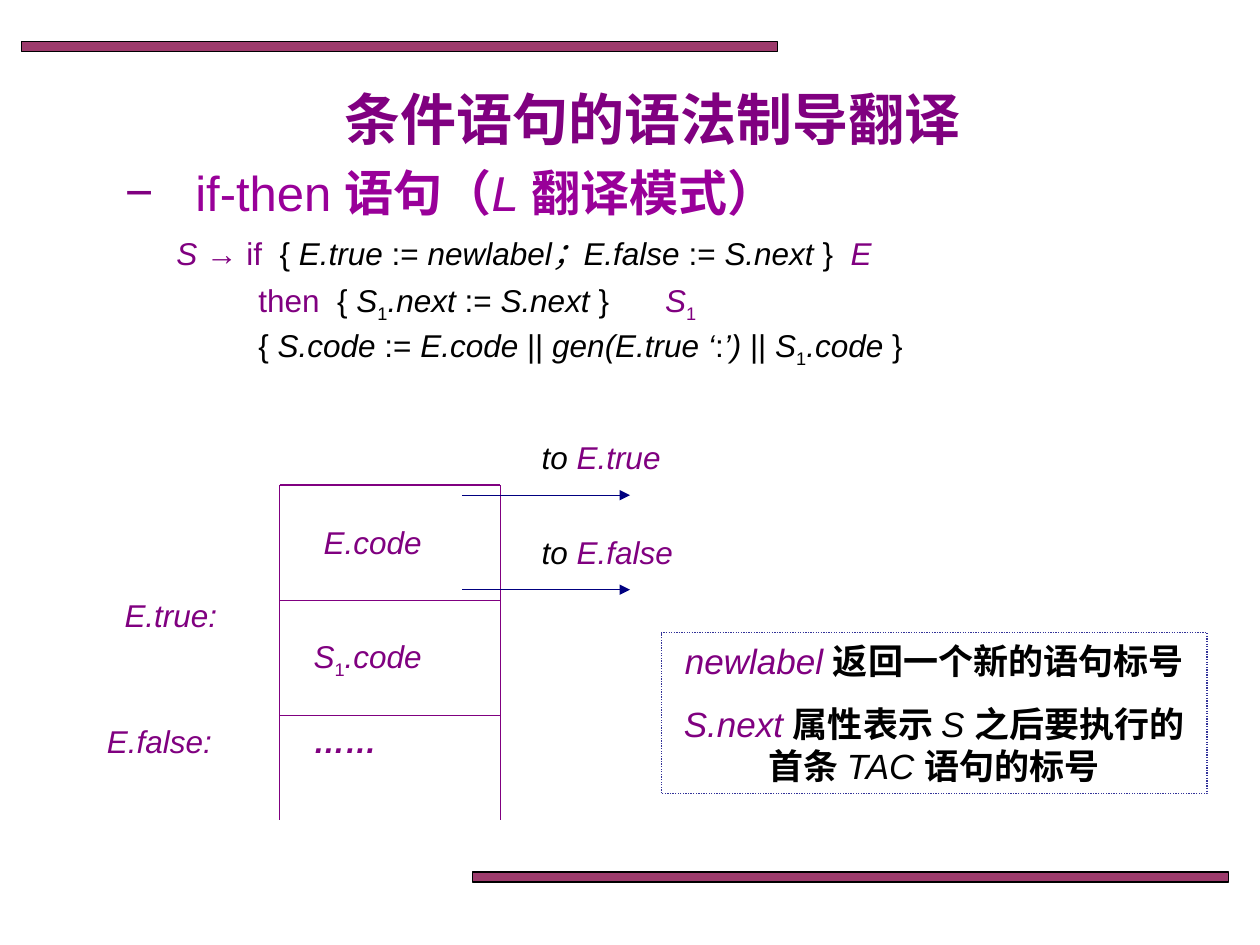
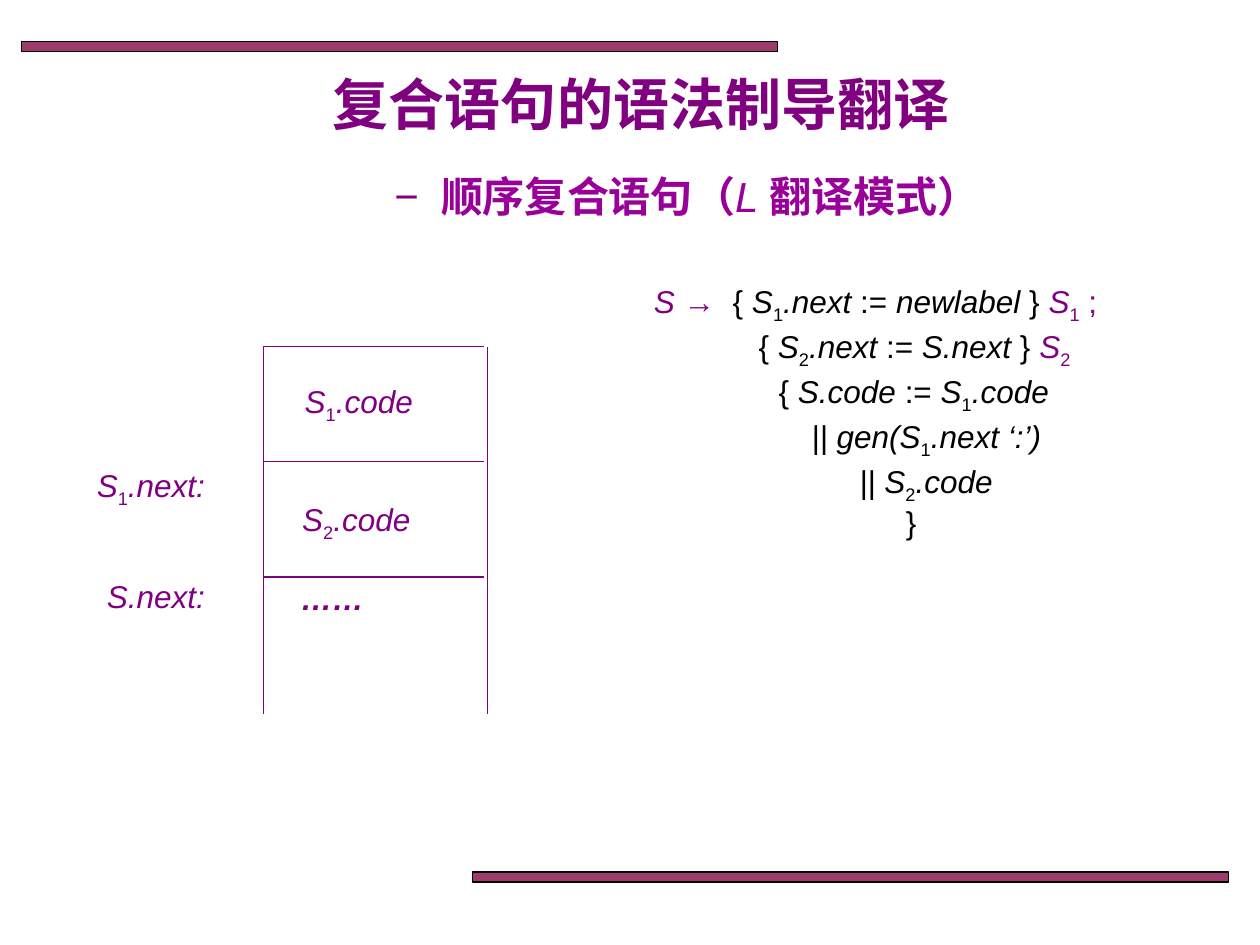
"""Two slides on syntax-directed translation of if-then and sequential statements."""
import pptx
import pptx.dml.color
import pptx.enum.dml
import pptx.enum.shapes
import pptx.enum.text
import pptx.oxml.ns
import pptx.util
from lxml import etree

Inches, Pt = pptx.util.Inches, pptx.util.Pt
qn = pptx.oxml.ns.qn
RECT = pptx.enum.shapes.MSO_SHAPE.RECTANGLE
ANCHOR = pptx.enum.text.MSO_ANCHOR
ALIGN = pptx.enum.text.PP_ALIGN

COLORS = {"p": "800080", "m": "990099", "k": "000000", "band": "993366",
          "arrow": "000080", "note": "333399"}
LATIN, CJK = "Arial", "Noto Sans CJK SC"
BANDS = [(0.17, 0.33, 6, 0.08), (3.75, 6.92, 6, 0.08)]
WIDE_SPACES = {"w": 500, "W": 2700}

# Styles: p/m/k colour, b bold, i italic, s subscript, w/W widened space.
SLIDES = [
    {
        "title": ("条件语句的语法制导翻译", (0.64, 0.56, 9.08, 0.75)),
        "body_at": (0.89, 1.29, 8.66, 1.65),
        "heading": (28, 0.56, 0.56, [
            ("if-then ", "m"), ("语句（", "mb"), ("L ", "mi"), ("翻译模式）", "mb")]),
        "code": [
            (0.41, 9.3, [
                ("S ", "pi"), ("→ if", "p"), (" ", "pw"), ("{ ", "k"), ("E.true ", "ki"),
                (":= ", "k"), ("newlabel；E.false ", "ki"), (":= ", "k"), ("S.next", "ki"),
                (" }", "k"), (" ", "kw"), ("E", "pi")]),
            (1.06, 5.4, [
                ("then", "p"), (" ", "kw"), ("{ ", "k"), ("S", "ki"), ("1", "ks"),
                (".next ", "ki"), (":= ", "k"), ("S.next", "ki"), (" }", "k"), (" ", "kW"),
                ("S", "pi"), ("1", "ps")]),
            (1.06, 3.6, [
                ("{ ", "k"), ("S.code ", "ki"), (":= ", "k"), ("E.code ", "ki"), ("||", "k"),
                (" gen(E.true ‘", "ki"), (":", "k"), ("’) ", "ki"), ("|| ", "k"), ("S", "ki"),
                ("1", "ks"), (".code", "ki"), (" }", "k")]),
        ],
        "stack": {"left": 2.22, "top": 3.85, "bottom": 6.51, "side": 3.97},
        "labels": [
            (2.47, 4.1, [("E.code", "pi")]),
            (2.39, 5.01, [("S", "pi"), ("1", "ps"), (".code", "pi")]),
            (0.89, 4.68, [("E.true:", "pi")]),
            (0.75, 5.68, [("E.false:", "pi")]),
            (2.39, 5.68, [("……", "pbi")]),
            (4.2, 3.43, [("to ", "ki"), ("E.true", "pi")]),
            (4.2, 4.18, [("to ", "ki"), ("E.false", "pi")]),
        ],
        "jumps": [3.93, 4.68],
        "note": [
            [("newlabel ", "pi"), ("返回一个新的语句标号", "kb")],
            [("S.next ", "pi"), ("属性表示 ", "kb"), ("S ", "ki"), ("之后要执行的首条 ", "kb"),
             ("TAC ", "ki"), ("语句的标号", "kb")],
        ],
    },
    {
        "title": ("复合语句的语法制导翻译", (0.55, 0.44, 9.08, 0.75)),
        "body_at": (1.07, 1.35, 8.92, 2.79),
        "heading": (24, 2.33, 0.37, [
            ("顺序复合语句（", "mb"), ("L ", "mi"), ("翻译模式）", "mb")]),
        "code": [
            (4.02, 35, [
                ("S ", "pi"), ("→", "p"), (" ", "kw"), ("{ ", "k"), ("S", "ki"), ("1", "ks"),
                (".next ", "ki"), (":= ", "k"), ("newlabel ", "ki"), ("} ", "k"), ("S", "pi"),
                ("1", "ps"), (" ;", "p")]),
            (4.85, 3.6, [
                ("{ ", "k"), ("S", "ki"), ("2", "ks"), (".next ", "ki"), (":= ", "k"),
                ("S.next", "ki"), (" } ", "k"), ("S", "pi"), ("2", "ps")]),
            (5.01, 3.6, [
                ("{ ", "k"), ("S.code ", "ki"), (":= ", "k"), ("S", "ki"), ("1", "ks"),
                (".code", "ki")]),
            (5.27, 3.6, [("|| gen(S", "ki"), ("1", "ks"), (".next ‘:’)", "ki")]),
            (5.65, 3.6, [("|| S", "ki"), ("2", "ks"), (".code", "ki")]),
            (6.02, 3.6, [("}", "k")]),
        ],
        "stack": {"left": 2.09, "top": 2.75, "bottom": 5.67, "side": 3.87},
        "labels": [
            (2.32, 2.98, [("S", "pi"), ("1", "ps"), (".code", "pi")]),
            (2.3, 3.92, [("S", "pi"), ("2", "ps"), (".code", "pi")]),
            (0.75, 4.53, [("S.next:", "pi")]),
            (2.29, 4.55, [("……", "pbi")]),
            (0.67, 3.65, [("S", "pi"), ("1", "ps"), (".next:", "pi")]),
        ],
        "jumps": [],
        "note": [],
    },
]
CELL_W, CELL_H = 1.75, 0.915
JUMP_X = (3.67, 5)
NOTE_AT = (5.25, 5.02, 4.33, 1.28)


def rgb(key):
    return pptx.dml.color.RGBColor.from_string(COLORS[key])


def apply(obj, **values):
    for name, value in values.items():
        setattr(obj, name, value)


def place(sp, box):
    apply(sp, **dict(zip(("left", "top", "width", "height"), map(Inches, box))))


def set_frame(tf, anchor=ANCHOR.TOP):
    apply(tf, word_wrap=True, auto_size=pptx.enum.text.MSO_AUTO_SIZE.NONE,
          vertical_anchor=anchor, margin_left=Inches(0.1), margin_right=Inches(0.1),
          margin_top=Inches(0.05), margin_bottom=Inches(0.05))


def add_runs(p, runs, size, latin=LATIN):
    for text, style in runs:
        r = p.add_run()
        r.text = text
        apply(r.font, name=latin, size=Pt(size), bold="b" in style, italic="i" in style)
        r.font.color.rgb = rgb(style[0])
        rPr = r._r.get_or_add_rPr()
        latin_el = rPr.find(qn("a:latin"))
        latin_el.addnext(etree.Element(qn("a:ea"), typeface=CJK))
        if "s" in style:
            rPr.set("baseline", "-25000")
        for mark, extra in WIDE_SPACES.items():
            if mark in style:
                rPr.set("spc", str(extra))


def set_indent(p, margin, hanging=0, bullet=None):
    pPr = p._p.get_or_add_pPr()
    pPr.set("marL", str(Inches(margin)))
    pPr.set("indent", str(-Inches(hanging)))
    if bullet:
        clr = etree.SubElement(pPr, qn("a:buClr"))
        etree.SubElement(clr, qn("a:srgbClr"), val=COLORS["p"])
        etree.SubElement(pPr, qn("a:buFont"), typeface=LATIN)
        etree.SubElement(pPr, qn("a:buChar"), char=bullet)
    else:
        etree.SubElement(pPr, qn("a:buNone"))


def add_line(s, x1, y1, x2, y2, color="p", arrow=False):
    line = s.shapes.add_connector(pptx.enum.shapes.MSO_CONNECTOR.STRAIGHT,
                                  *map(Inches, (x1, y1, x2, y2)))
    line.line.color.rgb = rgb(color)
    line.line.width = Pt(0.75)
    if arrow:
        etree.SubElement(line.line._get_or_add_ln(), qn("a:tailEnd"), type="triangle")
    etree.SubElement(line._element.spPr, qn("a:effectLst"))


def add_rect(s, box, line_color):
    sp = s.shapes.add_shape(RECT, *map(Inches, box))
    sp.shadow.inherit = False
    sp.line.color.rgb = rgb(line_color)
    sp.line.width = Pt(0.75)
    return sp


def move_bands_to_master(prs, s):
    for box in BANDS:
        sp = add_rect(s, box, "k")
        sp.fill.solid()
        sp.fill.fore_color.rgb = rgb("band")
        color = sp._element.spPr.find(qn("a:solidFill")).find(qn("a:srgbClr"))
        etree.SubElement(color, qn("a:alpha"), val="96000")
        prs.slide_master.shapes._spTree.append(sp._element)


def add_title(s, text, box):
    sp = s.shapes.title
    place(sp, box)
    set_frame(sp.text_frame, ANCHOR.MIDDLE)
    p = sp.text_frame.paragraphs[0]
    p.alignment = ALIGN.CENTER
    add_runs(p, [(text, "pb")], 32, CJK)


def add_body(s, box, heading, code):
    sp = s.placeholders[1]
    place(sp, box)
    tf = sp.text_frame
    set_frame(tf)
    size, margin, hanging, runs = heading
    p = tf.paragraphs[0]
    set_indent(p, margin, hanging, "−")
    apply(p, line_spacing=0.9, space_before=Pt(0), alignment=ALIGN.LEFT)
    add_runs(p, runs, size)
    for margin, gap, runs in code:
        p = tf.add_paragraph()
        set_indent(p, margin)
        apply(p, line_spacing=0.9, space_before=Pt(gap), alignment=ALIGN.LEFT)
        add_runs(p, runs, 18)


def add_stack(s, left, top, bottom, side):
    for x in (left, side):
        add_line(s, x, top, x, bottom)
    for row in range(3):
        y = top + row * CELL_H
        add_line(s, left, y, left + CELL_W, y)


def add_label(s, x, y, runs):
    tf = s.shapes.add_textbox(*map(Inches, (x, y, 1.6, 0.5))).text_frame
    set_frame(tf)
    add_runs(tf.paragraphs[0], runs, 18)


def add_note(s, paragraphs):
    sp = add_rect(s, NOTE_AT, "note")
    sp.fill.background()
    sp.line.dash_style = pptx.enum.dml.MSO_LINE.ROUND_DOT
    tf = sp.text_frame
    set_frame(tf, ANCHOR.MIDDLE)
    for i, runs in enumerate(paragraphs):
        p = tf.add_paragraph() if i else tf.paragraphs[0]
        apply(p, alignment=ALIGN.CENTER, line_spacing=Pt(24), space_before=Pt(12 if i else 0))
        add_runs(p, runs, 20)


def main():
    prs = pptx.Presentation()
    apply(prs, slide_width=Inches(10), slide_height=Inches(7.5))
    for i, data in enumerate(SLIDES):
        s = prs.slides.add_slide(prs.slide_layouts[1])
        if i == 0:
            move_bands_to_master(prs, s)
        add_title(s, *data["title"])
        add_body(s, data["body_at"], data["heading"], data["code"])
        add_stack(s, **data["stack"])
        for label in data["labels"]:
            add_label(s, *label)
        for y in data["jumps"]:
            add_line(s, JUMP_X[0], y, JUMP_X[1], y, "arrow", True)
        if data["note"]:
            add_note(s, data["note"])
    prs.save("out.pptx")


if __name__ == "__main__":
    main()
